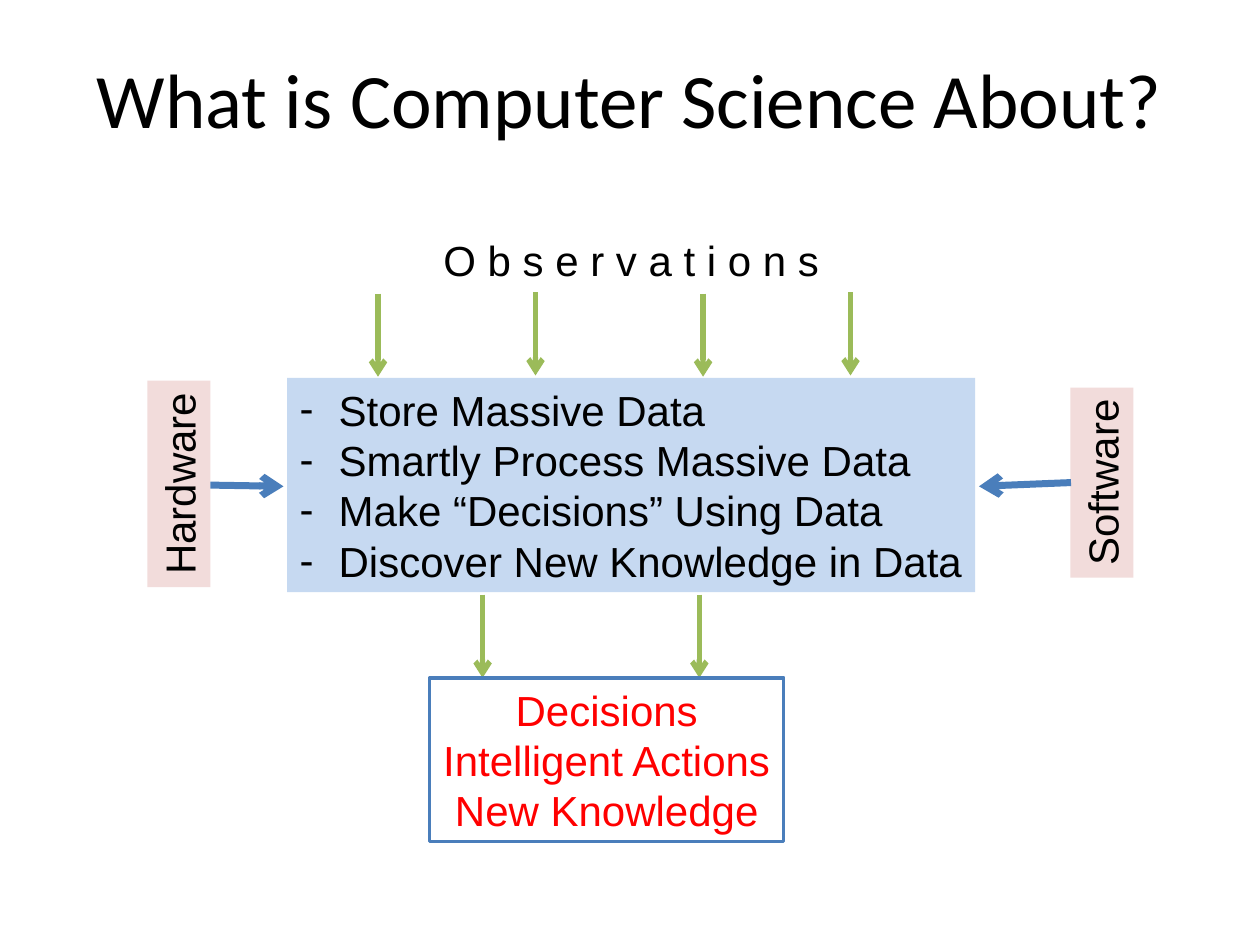
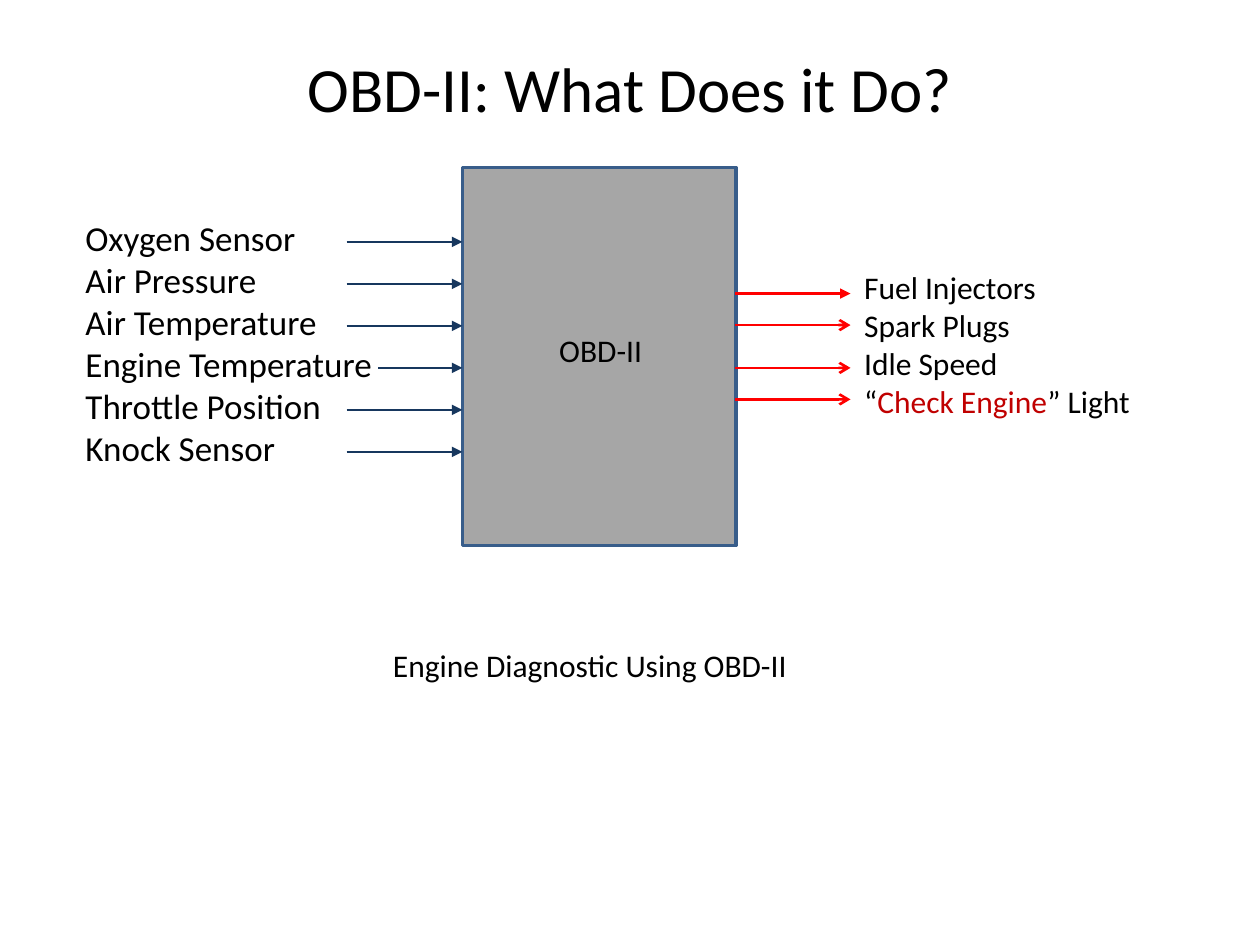
from lxml import etree
from pptx import Presentation
from pptx.dml.color import RGBColor
from pptx.enum.shapes import MSO_CONNECTOR, MSO_SHAPE
from pptx.enum.text import MSO_ANCHOR, MSO_AUTO_SIZE, PP_ALIGN
from pptx.oxml.ns import qn
from pptx.util import Inches, Pt

STRAIGHT = MSO_CONNECTOR.STRAIGHT
RECTANGLE = MSO_SHAPE.RECTANGLE
MIDDLE = MSO_ANCHOR.MIDDLE
FIT_TEXT, FIXED_SIZE = MSO_AUTO_SIZE.SHAPE_TO_FIT_TEXT, MSO_AUTO_SIZE.NONE
LEFT, CENTER = PP_ALIGN.LEFT, PP_ALIGN.CENTER

BLACK = RGBColor(0x00, 0x00, 0x00)
RED = RGBColor(0xFF, 0x00, 0x00)
DARK_RED = RGBColor(0xC0, 0x00, 0x00)
GREEN = RGBColor(0x9B, 0xBB, 0x59)
BLUE = RGBColor(0x4A, 0x7E, 0xBB)
PALE_BLUE = RGBColor(0xC6, 0xD9, 0xF1)
PALE_PINK = RGBColor(0xF2, 0xDC, 0xDB)
NAVY = RGBColor(0x17, 0x37, 0x5E)
GRAY = RGBColor(0xA6, 0xA6, 0xA6)
STEEL = RGBColor(0x38, 0x5D, 0x8A)

DIAGRAM_FONT = {"name": "Arial", "size": Pt(24)}
SENSOR_FONT = {"name": "Calibri", "size": Pt(20)}
ENGINE_FONT = {"name": "Calibri", "size": Pt(18)}


def add_label(shapes, place, lines, font, color=BLACK, align=LEFT, bullet=None):
    label = shapes.add_textbox(*map(Inches, place))
    frame = label.text_frame
    frame.word_wrap = False
    frame.auto_size = FIT_TEXT
    for number, pieces in enumerate(lines):
        paragraph = frame.paragraphs[0] if number == 0 else frame.add_paragraph()
        paragraph.alignment = align
        if bullet:
            properties = paragraph._p.get_or_add_pPr()
            properties.set("marL", str(Inches(0.31)))
            properties.set("indent", str(-Inches(0.31)))
            etree.SubElement(properties, qn("a:buFont"), typeface=font["name"])
            etree.SubElement(properties, qn("a:buChar"), char=bullet)
        for text, text_color in [(pieces, color)] if isinstance(pieces, str) else pieces:
            run = paragraph.add_run()
            run.text = text
            for key, value in font.items():
                setattr(run.font, key, value)
            run.font.color.rgb = text_color
    return label


def add_arrow(shapes, start, end, color, width, head="arrow"):
    arrow = shapes.add_connector(STRAIGHT, *map(Inches, start + end))
    arrow.line.color.rgb = color
    arrow.line.width = Pt(width)
    etree.SubElement(arrow.line._get_or_add_ln(), qn("a:tailEnd"), type=head)
    etree.SubElement(arrow._element.spPr, qn("a:effectLst"))


prs = Presentation()
prs.slide_width, prs.slide_height = Inches(10), Inches(7.5)
slides = []
for heading, height, size in [
    ("What is Computer Science About?", 0.95, 44),
    ("OBD-II: What Does it Do?", 0.78, 36),
]:
    slide = prs.slides.add_slide(prs.slide_layouts[5])
    title = slide.shapes.title
    title.left, title.top, title.width, title.height = map(Inches, (0.5, 0.3, 9, height))
    title.text_frame.text = heading
    title.text_frame.vertical_anchor = MIDDLE
    title_paragraph = title.text_frame.paragraphs[0]
    title_paragraph.alignment = CENTER
    title_font = title_paragraph.runs[0].font
    for key, value in {"name": "Calibri", "size": Pt(size)}.items():
        setattr(title_font, key, value)
    title_font.color.rgb = BLACK
    slides.append(slide)

science = slides[0].shapes
tasks = add_label(
    science,
    (2.28, 3, 5.46, 1.7),
    [
        "Store Massive Data",
        "Smartly Process Massive Data",
        "Make “Decisions” Using Data",
        "Discover New Knowledge in Data",
    ],
    DIAGRAM_FONT,
    bullet="-",
)
tasks.fill.solid()
tasks.fill.fore_color.rgb = PALE_BLUE

add_label(science, (3.42, 1.81, 3.18, 0.5), ["O b s e r v a t i o n s"], DIAGRAM_FONT)
for x, top in [(3, 2.33), (4.25, 2.32), (5.58, 2.33), (6.75, 2.32), (3.83, 4.72), (5.55, 4.72)]:
    add_arrow(science, (x, top), (x, top + 0.66), GREEN, 3)

for resource, place, start, end in [
    ("Hardware", (0.6, 3.59, 1.64, 0.5), (1.67, 3.85), (2.25, 3.86)),
    ("Software", (7.99, 3.58, 1.51, 0.5), (8.5, 3.83), (7.77, 3.86)),
]:
    resource_label = add_label(science, place, [resource], DIAGRAM_FONT)
    resource_label.text_frame.auto_size = FIXED_SIZE
    resource_label.text_frame.word_wrap = True
    resource_label.text_frame.margin_right = 0
    resource_label.rotation = 270
    resource_label.fill.solid()
    resource_label.fill.fore_color.rgb = PALE_PINK
    add_arrow(science, start, end, BLUE, 4)

results = add_label(
    science,
    (3.41, 5.38, 2.81, 1.3),
    ["Decisions", "Intelligent Actions", "New Knowledge"],
    DIAGRAM_FONT,
    RED,
    CENTER,
)
results.line.color.rgb = BLUE
results.line.width = Pt(2)

engine = slides[1].shapes.add_group_shape().shapes
controller = engine.add_shape(RECTANGLE, *map(Inches, (3.67, 1.33, 2.17, 3)))
controller.shadow.inherit = False
controller.fill.solid()
controller.fill.fore_color.rgb = GRAY
controller.line.color.rgb = STEEL
controller.line.width = Pt(2)
add_label(engine, (4.34, 2.58, 0.86, 0.4), ["OBD-II"], ENGINE_FONT)

sensors = [
    "Oxygen Sensor",
    "Air Pressure",
    "Air Temperature",
    "Engine Temperature",
    "Throttle Position",
    "Knock Sensor",
]
add_label(engine, (0.58, 1.67, 2.51, 2.1), sensors, SENSOR_FONT)
for row, sensor in enumerate(sensors):
    y = 1.92 + row / 3
    start_x = 3 if sensor == "Engine Temperature" else 2.75
    add_arrow(engine, (start_x, y), (3.67, y), NAVY, 1.5, "triangle")

outputs = [
    "Fuel Injectors",
    "Spark Plugs",
    "Idle Speed",
    [("“", BLACK), ("Check Engine", DARK_RED), ("” Light", BLACK)],
]
add_label(engine, (6.76, 2.08, 2.31, 1.3), outputs, ENGINE_FONT)
for y, head in [(2.33, "triangle"), (2.58, "arrow"), (2.92, "arrow"), (3.17, "arrow")]:
    add_arrow(engine, (5.83, y), (6.75, y), RED, 1.5, head)

add_label(slides[1].shapes, (3.02, 5.08, 3.33, 0.4), ["Engine Diagnostic Using OBD-II"], ENGINE_FONT)

prs.save("out.pptx")
